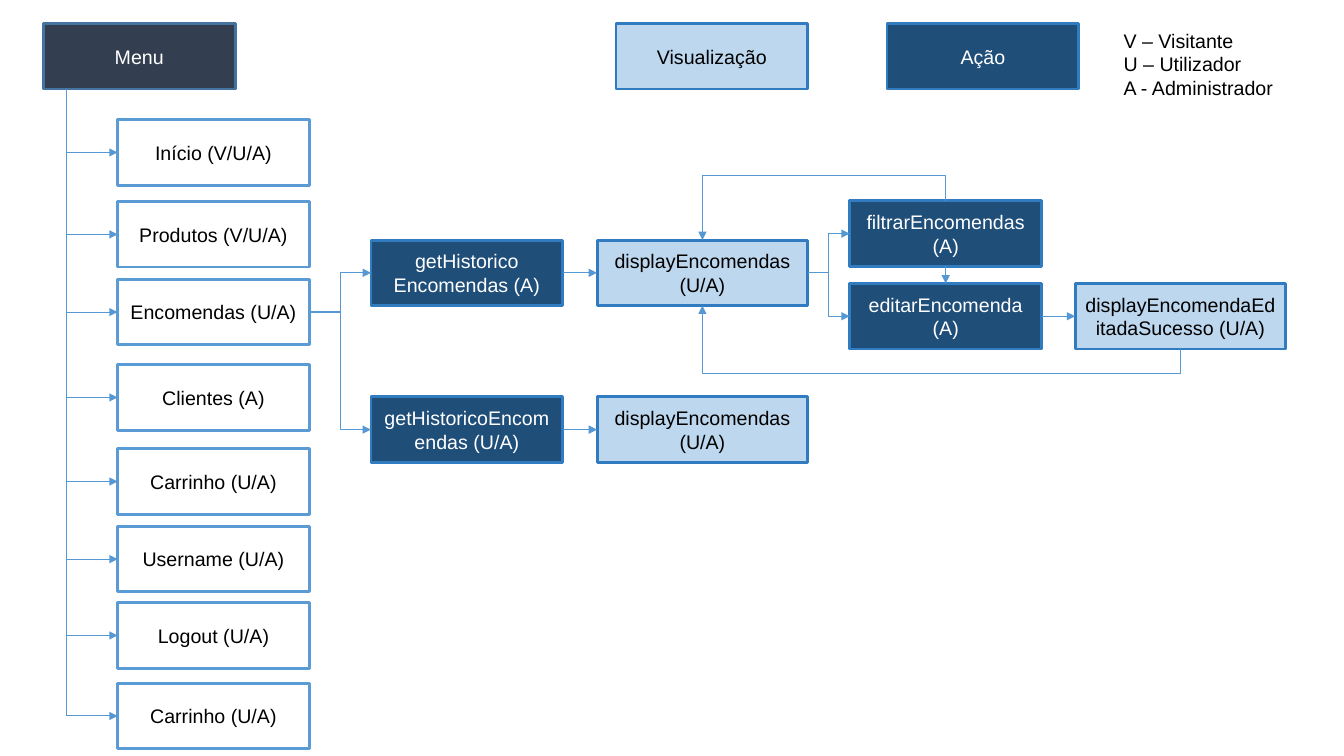
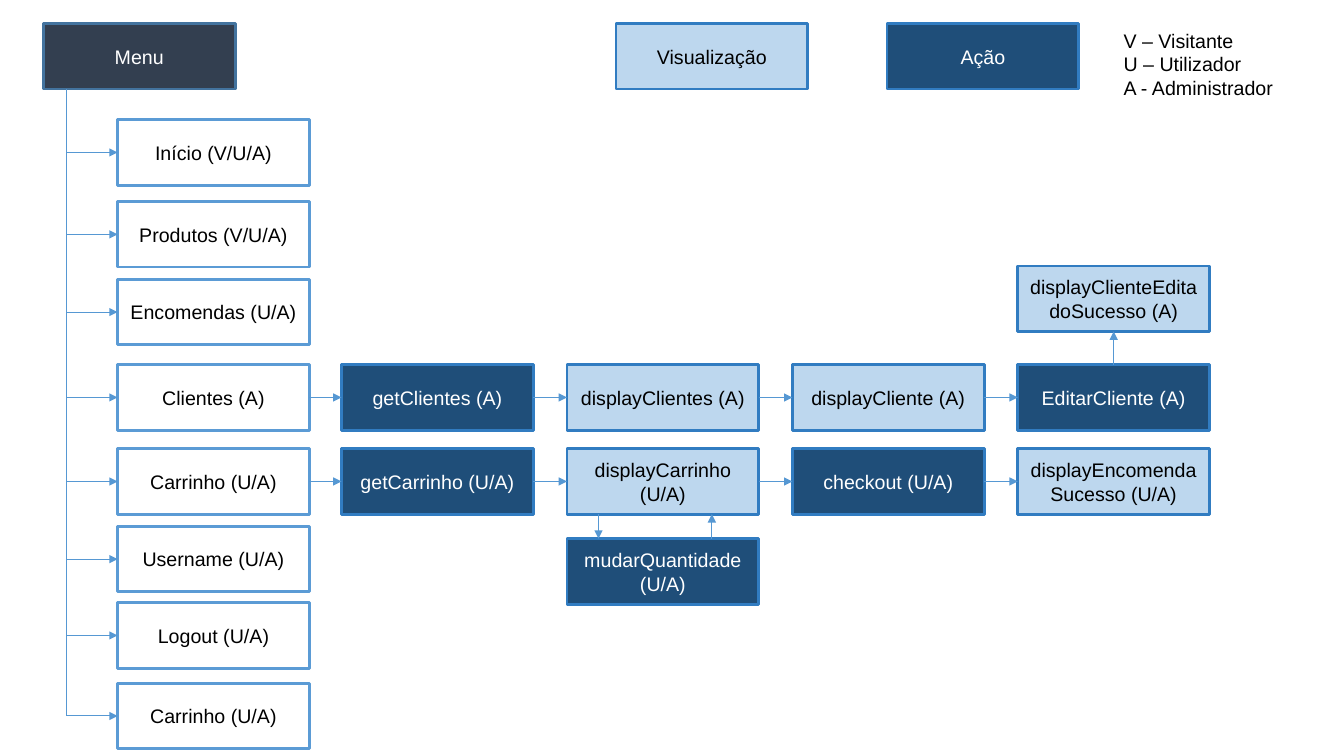
from lxml import etree
from pptx import Presentation
from pptx.dml.color import RGBColor
from pptx.enum.shapes import MSO_CONNECTOR, MSO_SHAPE
from pptx.enum.text import MSO_ANCHOR, PP_ALIGN
from pptx.oxml.ns import qn
from pptx.util import Pt

RECTANGLE = MSO_SHAPE.RECTANGLE
STRAIGHT, ELBOW = MSO_CONNECTOR.STRAIGHT, MSO_CONNECTOR.ELBOW
CENTER, MIDDLE = PP_ALIGN.CENTER, MSO_ANCHOR.MIDDLE
TOP, LEFT, BOTTOM, RIGHT = range(4)

WHITE = RGBColor(0xFF, 0xFF, 0xFF)
BLACK = RGBColor(0x00, 0x00, 0x00)
SLATE = RGBColor(0x33, 0x3F, 0x50)
SLATE_EDGE = RGBColor(0x43, 0x73, 0x9E)
ITEM_EDGE = RGBColor(0x5B, 0x9B, 0xD5)
PALE_BLUE = RGBColor(0xBD, 0xD7, 0xEE)
DARK_BLUE = RGBColor(0x1F, 0x4E, 0x79)
STEP_EDGE = RGBColor(0x31, 0x7C, 0xC1)
ARROW = RGBColor(0x56, 0x98, 0xD3)

# Box roles: fill, edge, text
MENU = (SLATE, SLATE_EDGE, WHITE)
ITEM = (WHITE, ITEM_EDGE, BLACK)
VIEW = (PALE_BLUE, STEP_EDGE, BLACK)
ACTION = (DARK_BLUE, STEP_EDGE, WHITE)

FONT, TEXT_SIZE = "Arial", 14
BOX_W, WIDE_W, BOX_H = 137, 150.5, 46.8
HEADER_TOP, ITEM_LEFT, TRUNK_X = 16.8, 84, 47.5

# Shared content
HEADER = [("Menu", MENU, 31), ("Visualização", VIEW, 440), ("Ação", ACTION, 633.6)]
ROLES = ["V – Visitante", "U – Utilizador", "A - Administrador"]
MENU_ITEMS = [  # key, text, top
    ("início", "Início (V/U/A)", 85.5),
    ("produtos", "Produtos (V/U/A)", 144),
    ("encomendas", "Encomendas (U/A)", 199.5),
    ("clientes", "Clientes (A)", 260.5),
    ("carrinho", "Carrinho (U/A)", 320.5),
    ("username", "Username (U/A)", 376),
    ("logout", "Logout (U/A)", 430.5),
    ("carrinho final", "Carrinho (U/A)", 488),
]
ITEM_TOP = {key: top for key, _, top in MENU_ITEMS}

# Steps: key, text, role, left, top, width
# Arrows: from, side, to, side; loops add the height of their middle run
ORDERS_GET, ORDERS_VIEW, ORDERS_EDIT, ORDERS_DONE = 265, 426.5, 607, 768
ORDERS = {
    "steps": [
        ("histórico A", "getHistorico Encomendas (A)", ACTION, ORDERS_GET, 171.5, BOX_W),
        ("lista A", "displayEncomendas (U/A)", VIEW, ORDERS_VIEW, 171.5, WIDE_W),
        ("histórico U", "getHistoricoEncomendas (U/A)", ACTION, ORDERS_GET, 283.5, BOX_W),
        ("lista U", "displayEncomendas (U/A)", VIEW, ORDERS_VIEW, 283.5, WIDE_W),
        ("filtrar", "filtrarEncomendas (A)", ACTION, ORDERS_EDIT, 143.5, BOX_W),
        ("editar", "editarEncomenda (A)", ACTION, ORDERS_EDIT, 202.5, BOX_W),
        ("editada", "displayEncomendaEditadaSucesso (U/A)", VIEW, ORDERS_DONE, 202.5, WIDE_W),
    ],
    "arrows": [
        ("encomendas", RIGHT, "histórico A", LEFT),
        ("encomendas", RIGHT, "histórico U", LEFT),
        ("histórico A", RIGHT, "lista A", LEFT),
        ("histórico U", RIGHT, "lista U", LEFT),
        ("lista A", RIGHT, "filtrar", LEFT),
        ("lista A", RIGHT, "editar", LEFT),
        ("filtrar", BOTTOM, "editar", TOP),
        ("editar", RIGHT, "editada", LEFT),
    ],
    "loops": [
        ("filtrar", TOP, "lista A", TOP, 125.5),
        ("editada", BOTTOM, "lista A", BOTTOM, 267),
    ],
    "free_arrows": [],
}

COLUMNS = [244 + 161 * i for i in range(4)]
CLIENT_TOP, CART_TOP, QUANTITY_TOP = ITEM_TOP["clientes"], ITEM_TOP["carrinho"], 387.2 - 2.4
CART_BOTTOM = CART_TOP + BOX_H
CLIENT_ROW = [("getClientes (A)", ACTION), ("displayClientes (A)", VIEW),
              ("displayCliente (A)", VIEW), ("EditarCliente (A)", ACTION)]
CART_ROW = [("getCarrinho (U/A)", ACTION), ("displayCarrinho (U/A)", VIEW),
            ("checkout (U/A)", ACTION), ("displayEncomendaSucesso (U/A)", VIEW)]


def row_steps(row, top):
    return [(text, text, role, left, top, BOX_W) for (text, role), left in zip(row, COLUMNS)]


def row_arrows(item, row):
    keys = [item] + [text for text, _ in row]
    return [(a, RIGHT, b, LEFT) for a, b in zip(keys, keys[1:])]


CLIENTS_AND_CART = {
    "steps": row_steps(CLIENT_ROW, CLIENT_TOP) + row_steps(CART_ROW, CART_TOP) + [
        ("editado", "displayClienteEditadoSucesso (A)", VIEW, COLUMNS[3], 190, BOX_W),
        ("quantidade", "mudarQuantidade (U/A)", ACTION, COLUMNS[1], QUANTITY_TOP, BOX_W),
    ],
    "arrows": row_arrows("clientes", CLIENT_ROW) + row_arrows("carrinho", CART_ROW) + [
        ("EditarCliente (A)", TOP, "editado", BOTTOM),
    ],
    "loops": [],
    "free_arrows": [  # x, from y, to y
        (427.5, CART_BOTTOM, QUANTITY_TOP),
        (508.5, QUANTITY_TOP, CART_BOTTOM),
    ],
}


def set_font(paragraph, color):
    paragraph.font.name = FONT
    paragraph.font.size = Pt(TEXT_SIZE)
    paragraph.font.color.rgb = color


def add_box(slide, text, role, left, top, width=BOX_W):
    fill, edge, color = role
    box = slide.shapes.add_shape(RECTANGLE, Pt(left), Pt(top), Pt(width), Pt(BOX_H))
    box.shadow.inherit = False
    box.fill.solid()
    box.fill.fore_color.rgb = fill
    box.line.color.rgb = edge
    box.line.width = Pt(2)
    box.text_frame.word_wrap = True
    box.text_frame.vertical_anchor = MIDDLE
    paragraph = box.text_frame.paragraphs[0]
    paragraph.text = text
    paragraph.alignment = CENTER
    set_font(paragraph, color)
    return box


def add_line(slide, kind, start, end, head=True):
    line = slide.shapes.add_connector(kind, *start, *end)
    line.line.color.rgb = ARROW
    line.line.width = Pt(0.75)
    if head:
        etree.SubElement(line.line._get_or_add_ln(), qn("a:tailEnd"), type="triangle")
    etree.SubElement(line._element.spPr, qn("a:effectLst"))
    return line


def side_middle(box, side):
    x = {LEFT: box.left, RIGHT: box.left + box.width}.get(side, box.left + box.width // 2)
    y = {TOP: box.top, BOTTOM: box.top + box.height}.get(side, box.top + box.height // 2)
    return x, y


def join(slide, source, source_side, target, target_side):
    start, end = side_middle(source, source_side), side_middle(target, target_side)
    kind = STRAIGHT if start[0] == end[0] or start[1] == end[1] else ELBOW
    line = add_line(slide, kind, start, end)
    line.begin_connect(source, source_side)
    line.end_connect(target, target_side)
    return line, start, end


def add_loop(slide, source, source_side, target, target_side, run_y):
    """Elbow that leaves vertically: a quarter turn, bent beyond its ends."""
    line, (x1, y1), (x2, y2) = join(slide, source, source_side, target, target_side)
    line.width, line.height = abs(y2 - y1), abs(x2 - x1)
    line.left = (x1 + x2 - line.width) // 2
    line.top = (y1 + y2 - line.height) // 2
    frame = line._element.spPr.find(qn("a:xfrm"))
    frame.set("rot", "5400000")
    frame.set("flipH", str(int(y2 < y1)))
    frame.set("flipV", str(int(x2 > x1)))
    bend = round((Pt(run_y) - y1) / (y2 - y1) * 100000)
    adjustments = line._element.spPr.find(qn("a:prstGeom")).get_or_add_avLst()
    etree.SubElement(adjustments, qn("a:gd"), name="adj1", fmla=f"val {bend}")


def add_menu(slide):
    # Header boxes and role key
    for text, role, left in HEADER:
        add_box(slide, text, role, left, HEADER_TOP)
    frame = slide.shapes.add_textbox(Pt(795.5), Pt(HEADER_TOP), Pt(132.5), Pt(58)).text_frame
    frame.word_wrap = True
    frame.text = "\n".join(ROLES)
    for paragraph in frame.paragraphs:
        set_font(paragraph, BLACK)

    # Menu items hanging from one trunk
    items = {key: add_box(slide, text, ITEM, ITEM_LEFT, top) for key, text, top in MENU_ITEMS}
    trunk_x = Pt(TRUNK_X)
    for item in items.values():
        end = side_middle(item, LEFT)
        add_line(slide, STRAIGHT, (trunk_x, end[1]), end).end_connect(item, LEFT)
    add_line(slide, STRAIGHT, (trunk_x, Pt(HEADER_TOP + BOX_H)), (trunk_x, end[1]), head=False)
    return items


def add_flow(slide, flow):
    boxes = add_menu(slide)
    for key, *step in flow["steps"]:
        boxes[key] = add_box(slide, *step)
    for source, source_side, target, target_side in flow["arrows"]:
        join(slide, boxes[source], source_side, boxes[target], target_side)
    for source, source_side, target, target_side, run_y in flow["loops"]:
        add_loop(slide, boxes[source], source_side, boxes[target], target_side, run_y)
    for x, start_y, end_y in flow["free_arrows"]:
        add_line(slide, STRAIGHT, (Pt(x), Pt(start_y)), (Pt(x), Pt(end_y)))


def main():
    prs = Presentation()
    prs.slide_width, prs.slide_height = Pt(960), Pt(540)
    for flow in (ORDERS, CLIENTS_AND_CART):
        add_flow(prs.slides.add_slide(prs.slide_layouts[6]), flow)
    prs.save("out.pptx")


if __name__ == "__main__":
    main()
